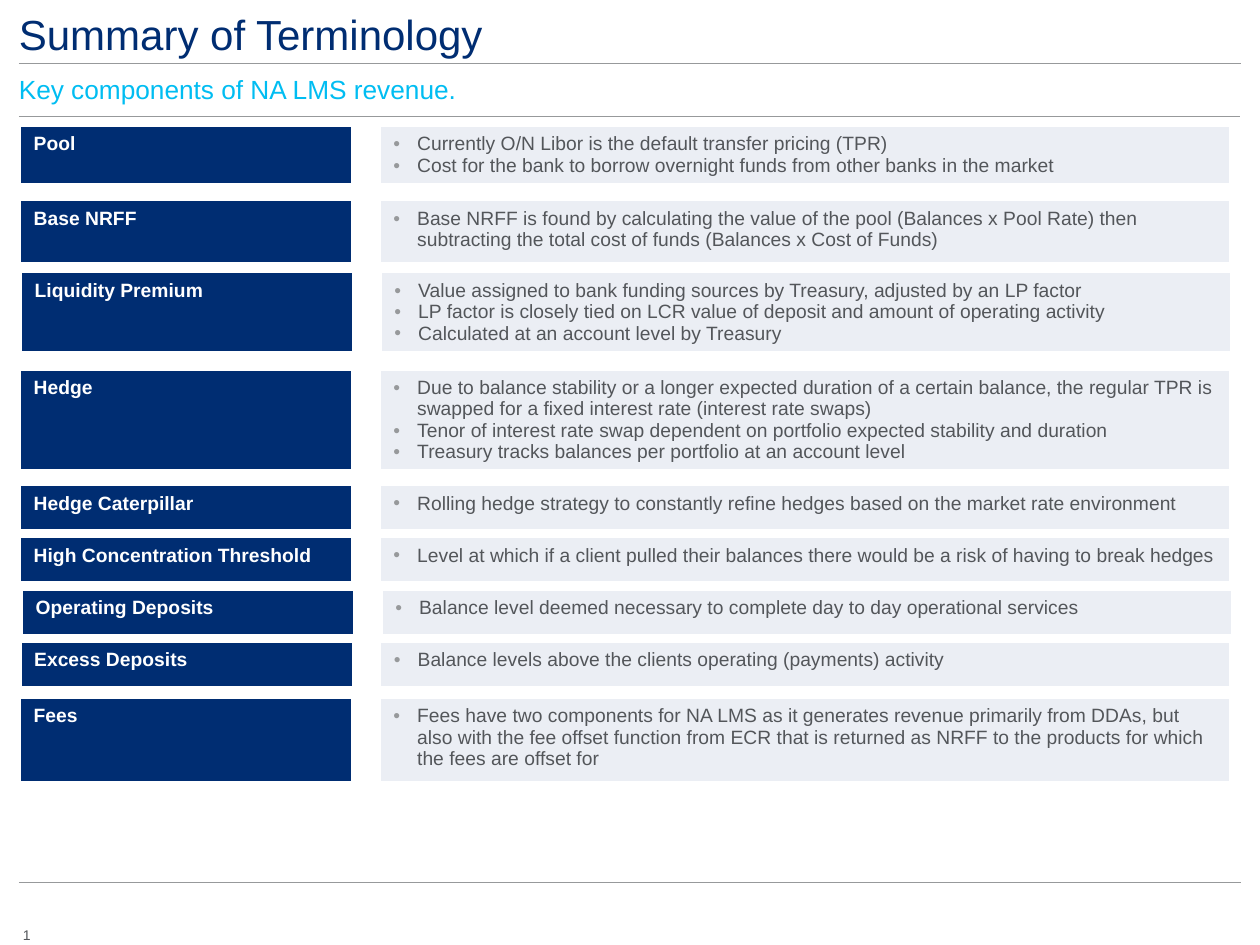
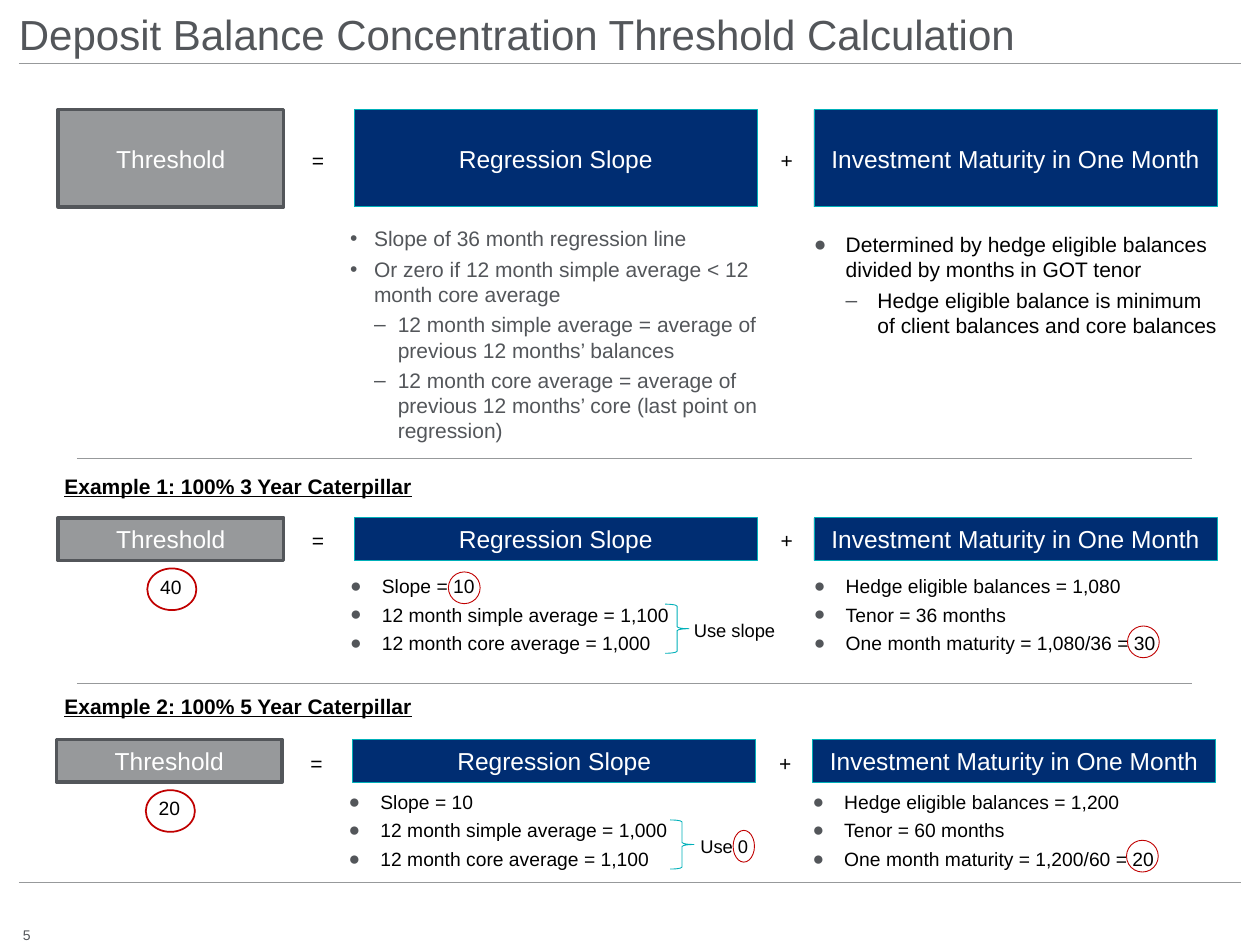
"""Build two slides on deposit terminology and the balance threshold calculation."""
from lxml import etree
from pptx import Presentation
from pptx.dml.color import RGBColor
from pptx.enum.shapes import MSO_CONNECTOR, MSO_SHAPE
from pptx.enum.text import MSO_ANCHOR, MSO_AUTO_SIZE, PP_ALIGN
from pptx.oxml.ns import qn
from pptx.util import Cm, Pt

RECT, OVAL, BRACE = MSO_SHAPE.RECTANGLE, MSO_SHAPE.OVAL, MSO_SHAPE.RIGHT_BRACE
STRAIGHT = MSO_CONNECTOR.STRAIGHT
LEFT, CENTER = PP_ALIGN.LEFT, PP_ALIGN.CENTER
TOP, MIDDLE = MSO_ANCHOR.TOP, MSO_ANCHOR.MIDDLE
NO_FIT = MSO_AUTO_SIZE.NONE
FONT = "Arial"
PLAIN_TABLE = "{2D5ABB26-0587-4C30-8999-92F81FD0307C}"
COLORS = {
    "navy": "002D72", "sky": "00BDF2", "teal": "00B0B9", "grey": "97999B", "slate": "53565A",
    "pale": "EBEEF4", "red": "C00000", "white": "FFFFFF", "black": "000000",
}
C = {name: RGBColor.from_string(value) for name, value in COLORS.items()}


def write(tf, paras, color="black", size=12, bold=False, underline=False, align=LEFT, before=0,
          marks="", indent=0.0, mark_color="slate", anchor=TOP, inset=0.0, wrap=True):
    """Fill a text frame with (level, text) paragraphs."""
    frame = {"word_wrap": wrap, "auto_size": NO_FIT, "vertical_anchor": anchor}
    for side in ("left", "top", "right", "bottom"):
        frame[f"margin_{side}"] = Cm(inset)
    for name, value in frame.items():
        setattr(tf, name, value)
    for i, (level, text) in enumerate(paras):
        p = tf.paragraphs[0] if i == 0 else tf.add_paragraph()
        for name, value in {"level": level, "alignment": align, "space_before": Pt(before)}.items():
            setattr(p, name, value)
        r = p.add_run()
        r.text = text
        style = {"name": FONT, "size": Pt(size), "bold": bold, "underline": underline}
        for name, value in style.items():
            setattr(r.font, name, value)
        r.font.color.rgb = C[color]
        if marks:
            pPr = p._p.get_or_add_pPr()
            pPr.set("marL", str(Cm(indent * (level + 1))))
            pPr.set("indent", str(-Cm(indent)))
            clr = etree.SubElement(pPr, qn("a:buClr"))
            etree.SubElement(clr, qn("a:srgbClr"), val=COLORS[mark_color])
            etree.SubElement(pPr, qn("a:buFont"), typeface=FONT)
            etree.SubElement(pPr, qn("a:buChar"), char=marks[level])


def add_shape(s, kind, at, line, width, fill=None):
    """Add an outlined preset shape, filled when a fill is named."""
    sp = s.shapes.add_shape(kind, *map(Cm, at))
    sp.shadow.inherit = False
    sp.line.color.rgb = C[line]
    sp.line.width = Pt(width)
    if fill:
        sp.fill.solid()
        sp.fill.fore_color.rgb = C[fill]
    else:
        sp.fill.background()
    return sp


prs = Presentation()
prs.slide_width, prs.slide_height = Cm(25.4), Cm(19.05)

pages = [
    (5, "Summary of Terminology", "navy", "1", [(0.38, 24.99, 2.34)]),
    (1, "Deposit Balance Concentration Threshold Calculation", "slate", "5",
     [(1.55, 24.03, 9.25), (1.55, 24.03, 13.77)]),
]
for layout, heading, color, number, rules in pages:
    s = prs.slides.add_slide(prs.slide_layouts[layout])
    title = s.shapes.title
    title.left, title.top, title.width, title.height = map(Cm, (0.38, 0.18, 24.61, 1.04))
    write(title.text_frame, [(0, heading)], color, 24)
    for x1, x2, y in [(0.38, 25.02, 1.27), (0.38, 25.02, 17.78)] + rules:
        line = s.shapes.add_connector(STRAIGHT, Cm(x1), Cm(y), Cm(x2), Cm(y))
        line.line.color.rgb = C["grey"]
        line.line.width = Pt(0.5)
        etree.SubElement(line._element.spPr, qn("a:effectLst"))
    tb = s.shapes.add_textbox(Cm(0.46), Cm(18.67), Cm(0.3), Cm(0.33))
    write(tb.text_frame, [(0, number)], "slate", 8, wrap=False)

terms_slide, threshold_slide = prs.slides

s = terms_slide
tb = s.shapes.add_textbox(Cm(0.38), Cm(1.47), Cm(24.61), Cm(0.64))
write(tb.text_frame, [(0, "Key components of NA LMS revenue.")], "sky", 15, anchor=MIDDLE)

terms = [
    ("Pool", 0.43, 1.85, 1.12, [
        "Currently O/N Libor is the default transfer pricing (TPR)",
        "Cost for the bank to borrow overnight funds from other banks in the market"]),
    ("Base NRFF", 0.43, 3.35, 1.22, [
        "Base NRFF is found by calculating the value of the pool (Balances x Pool Rate) then "
        "subtracting the total cost of funds (Balances x Cost of Funds)"]),
    ("Liquidity Premium", 0.45, 4.8, 1.55, [
        "Value assigned to bank funding sources by Treasury, adjusted by an LP factor",
        "LP factor is closely tied on LCR value of deposit and amount of operating activity",
        "Calculated at an account level by Treasury"]),
    ("Hedge", 0.43, 6.76, 1.96, [
        "Due to balance stability or a longer expected duration of a certain balance, the regular "
        "TPR is swapped for a fixed interest rate (interest rate swaps)",
        "Tenor of interest rate swap dependent on portfolio expected stability and duration",
        "Treasury tracks balances per portfolio at an account level"]),
    ("Hedge Caterpillar", 0.43, 9.09, 0.87, [
        "Rolling hedge strategy to constantly refine hedges based on the market rate environment"]),
    ("High Concentration Threshold", 0.43, 10.14, 0.87, [
        "Level at which if a client pulled their balances there would be a risk of having to "
        "break hedges"]),
    ("Operating Deposits", 0.47, 11.2, 0.87, [
        "Balance level deemed necessary to complete day to day operational services"]),
    ("Excess Deposits", 0.44, 12.25, 0.87, [
        "Balance levels above the clients operating (payments) activity"]),
    ("Fees", 0.43, 13.38, 1.65, [
        "Fees have two components for NA LMS as it generates revenue primarily from DDAs, but also "
        "with the fee offset function from ECR that is returned as NRFF to the products for which "
        "the fees are offset for"]),
]
head_height = 0.71
for term, left, top, height, points in terms:
    frame = s.shapes.add_table(2, 3, Cm(left), Cm(top), Cm(24.32), Cm(head_height + height))
    table = frame.table
    table.first_row = table.horz_banding = False
    table._tbl.tblPr.find(qn("a:tableStyleId")).text = PLAIN_TABLE
    for column, width in zip(table.columns, (6.65, 0.58, 17.09)):
        column.width = Cm(width)
    for row, row_height in zip(table.rows, (head_height, height)):
        row.height = Cm(row_height)
    table.cell(0, 0).merge(table.cell(0, 2))
    name_cell, definition_cell = table.cell(1, 0), table.cell(1, 2)
    write(name_cell.text_frame, [(0, term)], "white", 11, bold=True)
    write(definition_cell.text_frame, [(0, point) for point in points], "slate", 11,
          marks="•", indent=0.48, mark_color="grey")
    for cell in table.iter_cells():
        cell.margin_left = cell.margin_right = Cm(0.25)
        cell.margin_top = cell.margin_bottom = Cm(0.13)
        cell.fill.background()
        if not cell.text:
            cell.text_frame.paragraphs[0]._p.get_or_add_endParaRPr().set("sz", "600")
    for cell, fill in ((name_cell, "navy"), (definition_cell, "pale")):
        cell.fill.solid()
        cell.fill.fore_color.rgb = C[fill]

s = threshold_slide
body = s.placeholders[1]
body.left, body.top, body.width, body.height = map(Cm, (7.06, 4.55, 8.46, 5.18))
write(body.text_frame, [
    (0, "Slope of 36 month regression line"),
    (0, "Or zero if 12 month simple average < 12 month core average"),
    (1, "12 month simple average = average of previous 12 months’ balances"),
    (1, "12 month core average = average of previous 12 months’ core (last point on regression)"),
], "slate", before=3, marks="•–", indent=0.48)
tb = s.shapes.add_textbox(Cm(16.41), Cm(4.67), Cm(8.13), Cm(4.22))
write(tb.text_frame, [
    (0, "Determined by hedge eligible balances divided by months in GOT tenor"),
    (1, "Hedge eligible balance is minimum of client balances and core balances"),
], before=3, marks="●–", indent=0.64)

formula = [
    ("Threshold", 1.17, 4.55, "grey", "slate", 2),
    ("Regression Slope", 7.14, 8.13, "navy", "teal", 0.5),
    ("Investment Maturity in One Month", 16.41, 8.13, "navy", "teal", 0.5),
]
for top, height, shift, sign_drop in ((2.21, 1.96, 0, 0.76), (10.44, 0.86, 0, 0.2),
                                      (14.91, 0.86, -0.03, 0.23)):
    for label, left, width, fill, line, weight in formula:
        sp = add_shape(s, RECT, (left + shift, top, width, height), line, weight, fill)
        write(sp.text_frame, [(0, label)], "white", 14, align=CENTER, anchor=MIDDLE, inset=0.13)
    for sign, left in (("=", 5.94), ("+", 15.39)):
        tb = s.shapes.add_textbox(Cm(left + shift), Cm(top + sign_drop), Cm(0.94), Cm(1.09))
        write(tb.text_frame, [(0, sign)], align=CENTER, before=6)

examples = [
    ("Example 1: 100% 3 Year Caterpillar", 9.4, 10.44, 11.58, 0, "40",
     ("1,100", "1,000"), ("1,080", "36", "30"), "Use slope", 13.41, 13.74,
     [(9.04, 11.53, 0.64, 0.64), (22.73, 12.62, 0.64, 0.64)]),
    ("Example 2: 100% 5 Year Caterpillar", 13.84, 14.91, 15.93, -0.03, "20",
     ("1,000", "1,100"), ("1,200", "60", "20"), "Use 0", 13.51, 13.87,
     [(14.78, 16.74, 0.43, 0.64), (22.71, 16.94, 0.64, 0.64)]),
]
for (heading, heading_top, row_top, list_top, shift, threshold, (simple, core),
     (balance, tenor, maturity), verdict, brace_left, verdict_left, circles) in examples:
    tb = s.shapes.add_textbox(Cm(1.17), Cm(heading_top), Cm(23.37), Cm(0.79))
    write(tb.text_frame, [(0, heading)], bold=True, underline=True, anchor=MIDDLE, inset=0.13)
    lists = [
        (7.06, ["Slope = 10", f"12 month simple average = {simple}",
                f"12 month core average = {core}"]),
        (16.41, [f"Hedge eligible balances = {balance}", f"Tenor = {tenor} months",
                 f"One month maturity = {balance}/{tenor} = {maturity}"]),
    ]
    for left, points in lists:
        tb = s.shapes.add_textbox(Cm(left + shift), Cm(list_top), Cm(8.46), Cm(1.7))
        write(tb.text_frame, [(0, point) for point in points], size=11, before=3,
              marks="●", indent=0.64)
    tb = s.shapes.add_textbox(Cm(1.17 + shift), Cm(row_top + 1.15), Cm(4.55), Cm(1.7))
    write(tb.text_frame, [(0, threshold)], size=11, align=CENTER, before=3)
    add_shape(s, OVAL, (2.97 + shift, row_top + 1.02, 0.99, 0.84), "red", 1)
    add_shape(s, BRACE, (brace_left, list_top + 0.6, 0.48, 0.99), "teal", 0.5)
    tb = s.shapes.add_textbox(Cm(verdict_left), Cm(list_top + 0.78), Cm(2.18), Cm(0.71))
    write(tb.text_frame, [(0, verdict)], size=10.5, wrap=False)
    tb.text_frame.margin_left, tb.text_frame.margin_top = Cm(0.25), Cm(0.13)
    for circle in circles:
        add_shape(s, OVAL, circle, "red", 0.5)

prs.save("out.pptx")
